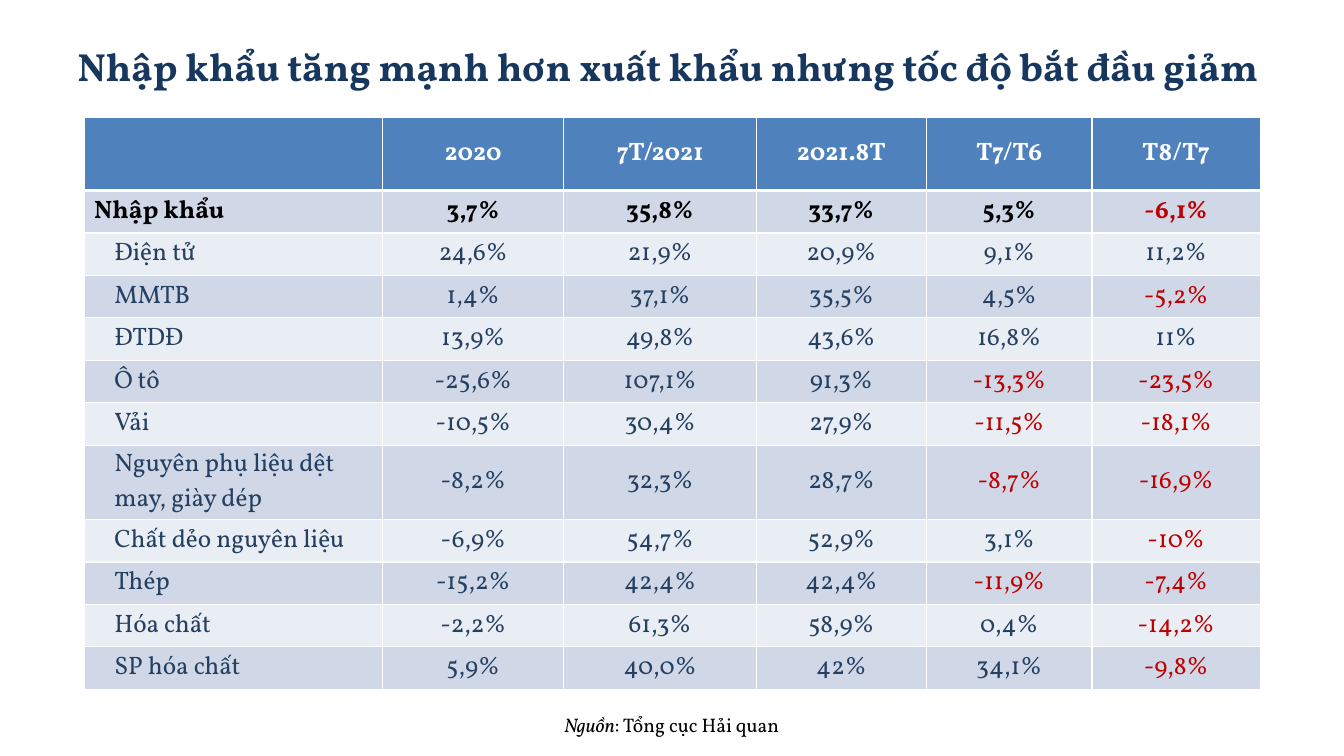
from dataclasses import dataclass

from lxml.etree import SubElement
from pptx import Presentation
from pptx.dml.color import RGBColor
from pptx.enum.text import MSO_ANCHOR, MSO_AUTO_SIZE, PP_ALIGN
from pptx.oxml.ns import qn
from pptx.util import Cm, Pt


@dataclass(frozen=True)
class Theme:
    font: str = "Vollkorn"
    title: str = "17375E"
    header: str = "4F81BD"
    bands: tuple = ("D0D8E8", "E9EDF4")
    white: str = "FFFFFF"
    black: str = "000000"
    body: str = "254061"
    negative: str = "C00000"
    title_size: int = 28
    table_size: int = 18
    source_size: int = 14


class SlideBuilder:
    def __init__(self, slide, theme):
        self.slide = slide
        self.theme = theme

    def add_run(self, paragraph, text, size, color, bold=False, italic=False):
        run = paragraph.add_run()
        run.text = text
        font = run.font
        font.name, font.size = self.theme.font, Pt(size)
        font.bold, font.italic = bold, italic
        font.color.rgb = RGBColor.from_string(color)

    def title(self, text, left, top, width, height):
        heading = self.slide.shapes.title
        heading.left, heading.top = Cm(left), Cm(top)
        heading.width, heading.height = Cm(width), Cm(height)
        frame = heading.text_frame
        frame.auto_size = MSO_AUTO_SIZE.NONE
        frame.vertical_anchor = MSO_ANCHOR.MIDDLE
        paragraph = frame.paragraphs[0]
        paragraph.alignment = PP_ALIGN.LEFT
        self.add_run(paragraph, text, self.theme.title_size, self.theme.title, bold=True)

    def source(self, label, text, left, top, width, height):
        note = self.slide.shapes.add_textbox(Cm(left), Cm(top), Cm(width), Cm(height))
        frame = note.text_frame
        frame.word_wrap = True
        frame.auto_size = MSO_AUTO_SIZE.SHAPE_TO_FIT_TEXT
        paragraph = frame.paragraphs[0]
        paragraph.alignment = PP_ALIGN.CENTER
        size, color = self.theme.source_size, self.theme.black
        self.add_run(paragraph, label, size, color, italic=True)
        self.add_run(paragraph, text, size, color)

    def borders(self, cell, top, bottom):
        properties = cell._tc.get_or_add_tcPr()
        for side, width in (("L", 1), ("R", 1), ("T", top), ("B", bottom)):
            line = SubElement(properties, qn(f"a:ln{side}"), w=str(Pt(width)))
            fill = SubElement(line, qn("a:solidFill"))
            SubElement(fill, qn("a:srgbClr"), val=self.theme.white)

    def text_color(self, row, column, text):
        if row == 0:
            return self.theme.white
        if column in CHANGE_COLUMNS and text.startswith("-"):
            return self.theme.negative
        return self.theme.black if row == 1 else self.theme.body

    def table(self, rows, left, top, widths, heights):
        table = self.slide.shapes.add_table(
            len(rows), len(widths), Cm(left), Cm(top), Cm(sum(widths)), Cm(sum(heights))
        ).table
        for column, width in zip(table.columns, widths):
            column.width = Cm(width)
        for row, height in zip(table.rows, heights):
            row.height = Cm(height)
        for r, values in enumerate(rows):
            for c, text in enumerate(values):
                cell = table.cell(r, c)
                self.borders(cell, top=3 if r == 1 else 1, bottom=3 if r == 0 else 1)
                cell.fill.solid()
                background = self.theme.bands[(r - 1) % 2] if r else self.theme.header
                cell.fill.fore_color.rgb = RGBColor.from_string(background)
                cell.vertical_anchor = MSO_ANCHOR.MIDDLE
                # Slim margins keep each row at its set height
                cell.margin_top = cell.margin_bottom = Cm(0.04)
                if c == 0 and r > 1:
                    cell.margin_left = Cm(0.76)
                paragraph = cell.text_frame.paragraphs[0]
                paragraph.alignment = PP_ALIGN.CENTER if c else PP_ALIGN.LEFT
                if text:
                    self.add_run(paragraph, text, self.theme.table_size,
                                 self.text_color(r, c, text), bold=r < 2)


# Import growth: header, total, then product groups
CHANGE_COLUMNS = (4, 5)
IMPORT_GROWTH = [
    ("", "2020", "7T/2021", "2021.8T", "T7/T6", "T8/T7"),
    ("Nhập khẩu", "3,7%", "35,8%", "33,7%", "5,3%", "-6,1%"),
    ("Điện tử", "24,6%", "21,9%", "20,9%", "9,1%", "11,2%"),
    ("MMTB", "1,4%", "37,1%", "35,5%", "4,5%", "-5,2%"),
    ("ĐTDĐ", "13,9%", "49,8%", "43,6%", "16,8%", "11%"),
    ("Ô tô", "-25,6%", "107,1%", "91,3%", "-13,3%", "-23,5%"),
    ("Vải", "-10,5%", "30,4%", "27,9%", "-11,5%", "-18,1%"),
    ("Nguyên phụ liệu dệt may, giày dép", "-8,2%", "32,3%", "28,7%", "-8,7%", "-16,9%"),
    ("Chất dẻo nguyên liệu", "-6,9%", "54,7%", "52,9%", "3,1%", "-10%"),
    ("Thép", "-15,2%", "42,4%", "42,4%", "-11,9%", "-7,4%"),
    ("Hóa chất", "-2,2%", "61,3%", "58,9%", "0,4%", "-14,2%"),
    ("SP hóa chất", "5,9%", "40,0%", "42%", "34,1%", "-9,8%"),
]
COLUMN_WIDTHS = (7.52, 4.57, 4.85, 4.29, 4.17, 4.24)
ROW_HEIGHTS = [1.83] + [1.07] * 6 + [1.87] + [1.07] * 4


def main():
    presentation = Presentation()
    presentation.slide_width, presentation.slide_height = Cm(33.87), Cm(19.05)
    slide = presentation.slides.add_slide(presentation.slide_layouts[5])
    builder = SlideBuilder(slide, Theme())

    # Heading
    builder.title("Nhập khẩu tăng mạnh hơn xuất khẩu nhưng tốc độ bắt đầu giảm",
                  1.7, 0.76, 30.48, 1.78)
    # Growth table
    builder.table(IMPORT_GROWTH, 2.12, 2.97, COLUMN_WIDTHS, ROW_HEIGHTS)
    # Source line
    builder.source("Nguồn", ": Tổng cục Hải quan", 9.63, 17.83, 14.6, 0.86)

    presentation.save("out.pptx")


if __name__ == "__main__":
    main()
